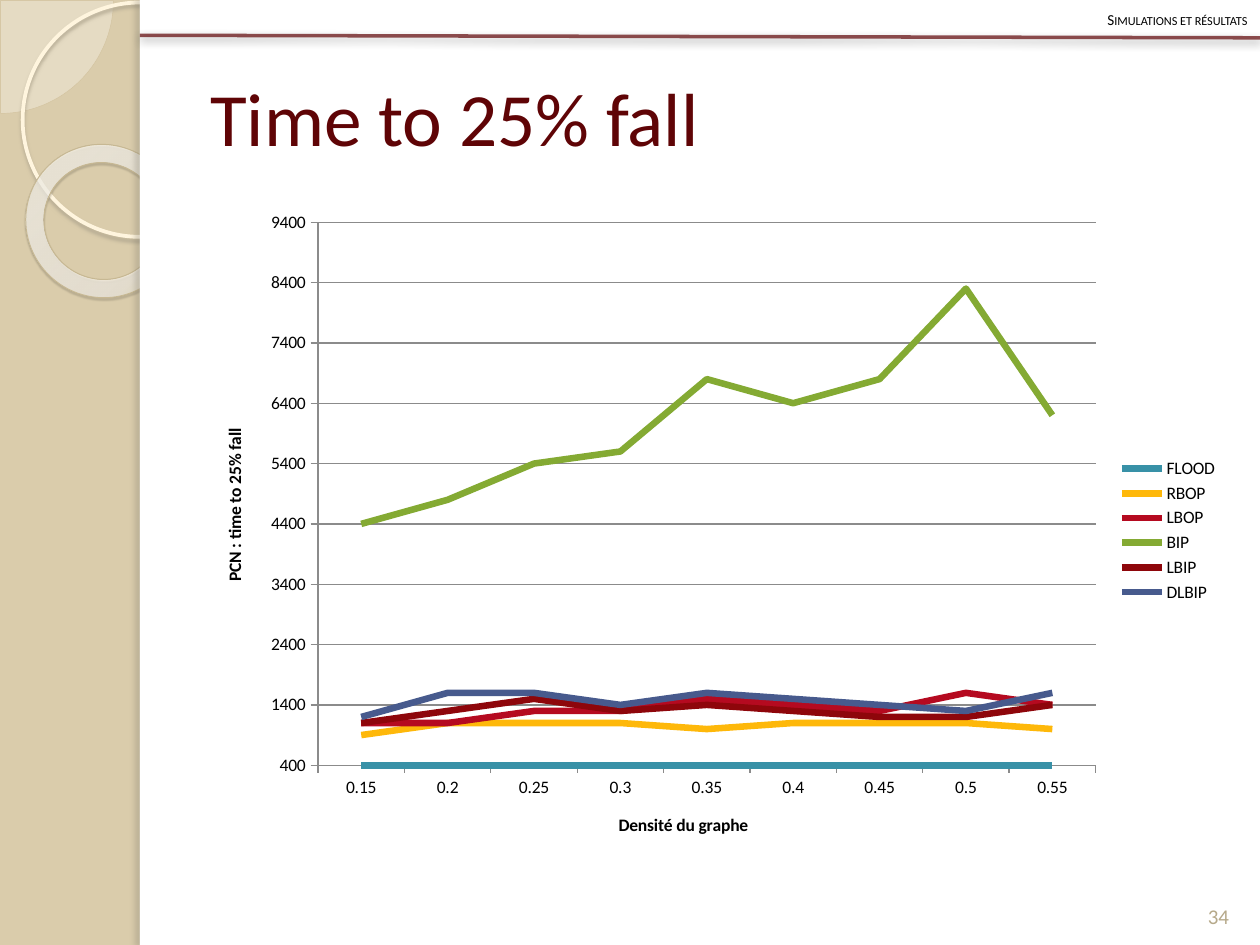
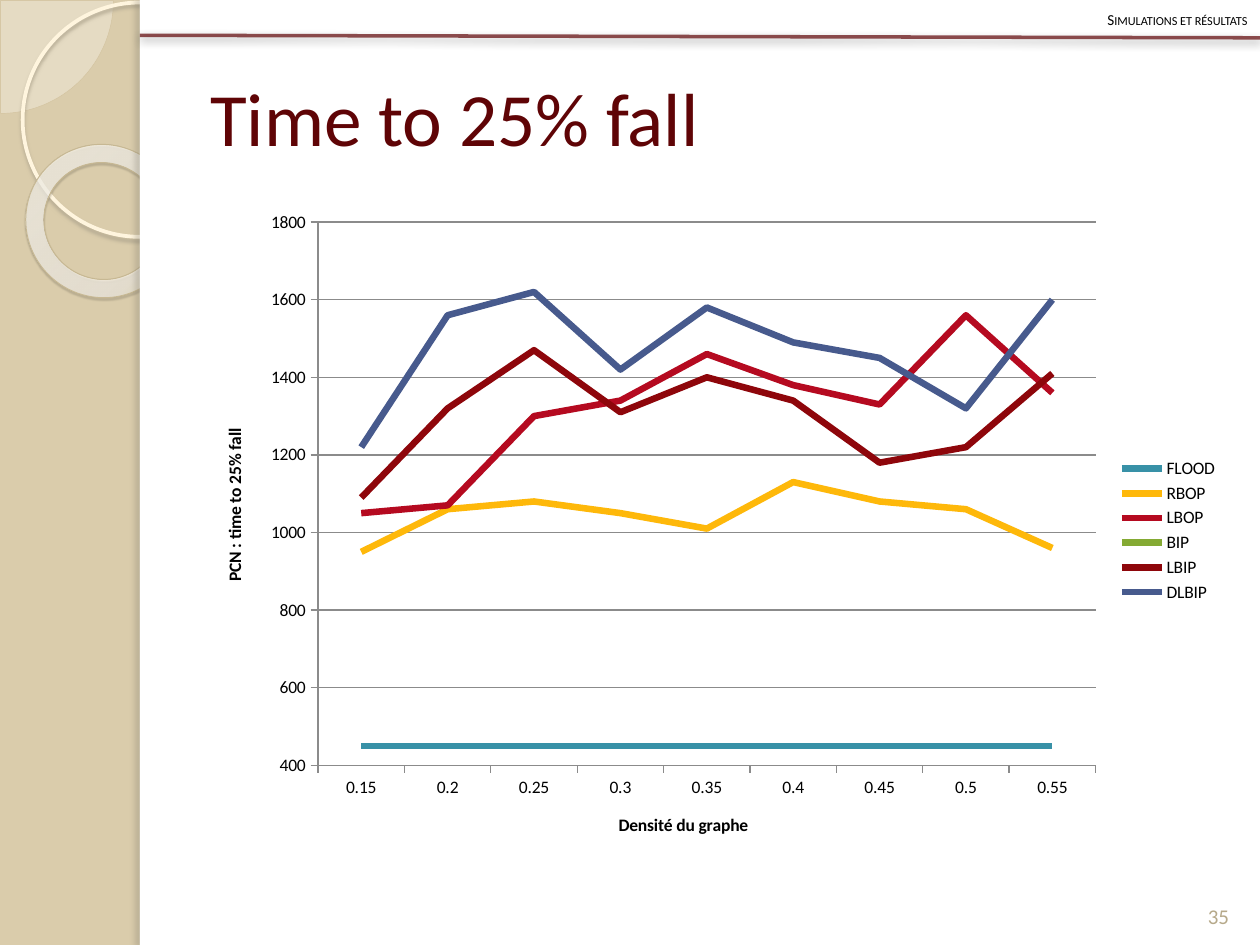
from dataclasses import dataclass

from lxml.etree import SubElement
from pptx import Presentation
from pptx.chart.data import CategoryChartData
from pptx.dml.color import RGBColor
from pptx.enum.chart import XL_CHART_TYPE as CHART, XL_LEGEND_POSITION as LEGEND, XL_TICK_MARK as TICK
from pptx.enum.shapes import MSO_CONNECTOR as CONN, MSO_SHAPE as SHAPE
from pptx.enum.text import MSO_ANCHOR as ANCHOR, MSO_AUTO_SIZE as AUTO, PP_ALIGN as ALIGN
from pptx.oxml.ns import qn
from pptx.util import Inches, Pt


@dataclass(frozen=True)
class Theme:
    font: str = "Calibri"
    sand: str = "DACCAB"
    white: str = "FFFFFF"
    black: str = "000000"
    maroon: str = "5F0406"
    page: str = "B6A98A"
    grid: str = "8B8B8B"
    pie: str = "FEFAF4"
    pie_line: str = "D3C39F"
    circle: str = "FFF5DE"
    ring_line: str = "C7B893"
    ring_stops: tuple = ((0, "FFFCF6", 70), (70, "FFFEFB", 55), (100, "F0D28E", 60))
    circle_shadow: tuple = ("B0A68F", 85, 2, 2, 90)
    ring_shadow: tuple = ("5A5444", 35, 1, 1.2, 75)
    band_shadow: tuple = ("736F63", 25, 3, 3, 180)
    rule_shadow: tuple = ("000000", 43, 5, 2, 90)
    title_size: float = 43
    header_size: float = 8.7
    page_size: float = 12
    chart_size: float = 10


DENSITIES = ["0.15", "0.2", "0.25", "0.3", "0.35", "0.4", "0.45", "0.5", "0.55"]
PROTOCOLS = {"FLOOD": "3891A7", "RBOP": "FEB80A", "LBOP": "B50A20",
             "BIP": "84AA33", "LBIP": "8E060B", "DLBIP": "475A8D"}
FULL_RANGE = [
    [400] * len(DENSITIES),
    [900, 1100, 1100, 1100, 1000, 1100, 1100, 1100, 1000],
    [1100, 1100, 1300, 1300, 1500, 1400, 1300, 1600, 1400],
    [4400, 4800, 5400, 5600, 6800, 6400, 6800, 8300, 6200],
    [1100, 1300, 1500, 1300, 1400, 1300, 1200, 1200, 1400],
    [1200, 1600, 1600, 1400, 1600, 1500, 1400, 1300, 1600],
]
LOW_RANGE = [
    [450] * len(DENSITIES),
    [950, 1060, 1080, 1050, 1010, 1130, 1080, 1060, 960],
    [1050, 1070, 1300, 1340, 1460, 1380, 1330, 1560, 1360],
    [4380, 4820, 5450, 5600, 6800, 6440, 6790, 8280, 6200],
    [1090, 1320, 1470, 1310, 1400, 1340, 1180, 1220, 1410],
    [1220, 1560, 1620, 1420, 1580, 1490, 1450, 1320, 1600],
]


def inches(*lengths):
    return [Inches(v) for v in lengths]


def rgb(color):
    return RGBColor.from_string(color)


def solid(fill, color, alpha=100):
    fill.solid()
    fill.fore_color.rgb = rgb(color)
    if alpha < 100:
        clr = fill._xPr.find(qn("a:solidFill"))[0]
        SubElement(clr, qn("a:alpha"), val=str(alpha * 1000))


def stroke(line, color, width, alpha=100):
    solid(line.fill, color, alpha)
    line.width = Pt(width)


def add_color(parent, color, alpha):
    clr = SubElement(parent, qn("a:srgbClr"), val=color)
    SubElement(clr, qn("a:alpha"), val=str(alpha * 1000))


def effects(sp, shadow=None):
    lst = SubElement(sp._element.spPr, qn("a:effectLst"))
    if shadow:
        color, alpha, blur, dist, angle = shadow
        outer = SubElement(lst, qn("a:outerShdw"), blurRad=str(Pt(blur)), dist=str(Pt(dist)),
                           dir=str(angle * 60000), algn="tl", rotWithShape="0")
        add_color(outer, color, alpha)


def radial(sp, stops, focus):
    spPr = sp._element.spPr
    grad = SubElement(spPr, qn("a:gradFill"))
    spPr.find(qn("a:prstGeom")).addnext(grad)
    gs_lst = SubElement(grad, qn("a:gsLst"))
    for pos, color, alpha in stops:
        add_color(SubElement(gs_lst, qn("a:gs"), pos=str(pos * 1000)), color, alpha)
    circle = SubElement(grad, qn("a:path"), path="circle")
    SubElement(circle, qn("a:fillToRect"), **{k: str(v * 1000) for k, v in zip("ltrb", focus)})


class Deck:
    def __init__(self, theme):
        self.theme = theme
        self.prs = Presentation()
        self.prs.slide_width, self.prs.slide_height = inches(10, 7.5)

    def shape(self, kind, box, fill=None, alpha=100, line=None, shadow=None, adj=(), rot=0):
        sp = self.slide.shapes.add_shape(kind, *inches(*box))
        for i, value in enumerate(adj):
            sp.adjustments[i] = value
        sp.rotation = rot
        if isinstance(fill, str):
            solid(sp.fill, fill, alpha)
        elif fill:
            radial(sp, *fill)
        else:
            sp.fill.background()
        if line:
            stroke(sp.line, *line)
        else:
            sp.line.fill.background()
        effects(sp, shadow)

    def rule(self, start, end, color, width, alpha, shadow):
        sp = self.slide.shapes.add_connector(CONN.STRAIGHT, *inches(*start, *end))
        stroke(sp.line, color, width, alpha)
        effects(sp, shadow)

    def font(self, font, size, color, bold=None):
        font.name, font.size, font.bold = self.theme.font, Pt(size), bold
        font.color.rgb = rgb(color)

    def text(self, text, box, size, color, align=ALIGN.LEFT, anchor=ANCHOR.MIDDLE,
             spacing=None, before=None, small_caps=False):
        tf = self.slide.shapes.add_textbox(*inches(*box)).text_frame
        tf.word_wrap, tf.auto_size, tf.vertical_anchor = True, AUTO.NONE, anchor
        p = tf.paragraphs[0]
        p.alignment = align
        if spacing:
            p.line_spacing = spacing
        if before:
            p.space_before = Pt(before)
        r = p.add_run()
        r.text = text
        self.font(r.font, size, color)
        if small_caps:
            r.font._element.set("cap", "small")

    def axis(self, axis, title):
        t = self.theme
        axis.major_tick_mark, axis.minor_tick_mark = TICK.OUTSIDE, TICK.NONE
        stroke(axis.format.line, t.grid, 0.75)
        tf = axis.axis_title.text_frame
        tf.text = title
        self.font(tf.paragraphs[0].runs[0].font, t.chart_size, t.black, bold=True)

    def line_chart(self, box, rows, top, step):
        t = self.theme
        data = CategoryChartData()
        data.categories = DENSITIES
        for name, values in zip(PROTOCOLS, rows):
            data.add_series(name, values)
        chart = self.slide.shapes.add_chart(CHART.LINE, *inches(*box), data).chart
        self.font(chart.font, t.chart_size, t.black)
        chart.has_title = False
        chart.has_legend = True
        chart.legend.position = LEGEND.RIGHT
        chart.legend.include_in_layout = False
        self.axis(chart.category_axis, "Densité du graphe")
        val = chart.value_axis
        self.axis(val, "PCN : time to 25% fall")
        val.minimum_scale, val.maximum_scale, val.major_unit = 400, top, step
        stroke(val.major_gridlines.format.line, t.grid, 0.75)
        chart.plots[0].vary_by_categories = False
        for series, color in zip(chart.plots[0].series, PROTOCOLS.values()):
            series.smooth = False
            stroke(series.format.line, color, 3.75)

    def decorate(self):
        t = self.theme
        solid(self.slide.background.fill, t.sand)
        self.shape(SHAPE.PIE, (-0.89, -0.89, 1.79, 1.79), t.pie, 33,
                   line=(t.pie_line, 0.25), adj=(0, 54))
        self.shape(SHAPE.OVAL, (0.18, 0.02, 1.86, 1.86),
                   line=(t.circle, 2.15), shadow=t.circle_shadow)
        self.shape(SHAPE.DONUT, (0.2, 1.15, 1.23, 1.21), (t.ring_stops, (-408, -50, 508, 150)),
                   line=(t.ring_line, 0.58), shadow=t.ring_shadow, adj=(0.12,), rot=38.6)
        self.shape(SHAPE.RECTANGLE, (1.11, 0, 8.89, 7.5), t.white)
        self.shape(SHAPE.RECTANGLE, (1.11, 0, 0.08, 7.5), t.white, shadow=t.band_shadow)
        self.rule((1.11, 0.28), (10, 0.3), t.maroon, 2, 70, t.rule_shadow)

    def add_slide(self, title, number):
        t = self.theme
        self.slide = self.prs.slides.add_slide(self.prs.slide_layouts[6])
        self.decorate()
        self.text(title, (1.57, 0.3, 8.2, 1.25), t.title_size, t.maroon)
        self.text("Simulations et résultats", (0, 0, 10, 0.28), t.header_size, t.black,
                  align=ALIGN.RIGHT, spacing=1.2, before=6, small_caps=True)
        self.text(str(number), (9.42, 6.9, 0.5, 0.52), t.page_size, t.page,
                  align=ALIGN.CENTER, anchor=ANCHOR.BOTTOM)


def main():
    deck = Deck(Theme())
    for number, rows, top, step in ((34, FULL_RANGE, 9400, 1000), (35, LOW_RANGE, 1800, 200)):
        deck.add_slide("Time to 25% fall", number)
        deck.line_chart((1.57, 1.58, 8.2, 5.26), rows, top, step)
    deck.prs.save("out.pptx")


if __name__ == "__main__":
    main()
